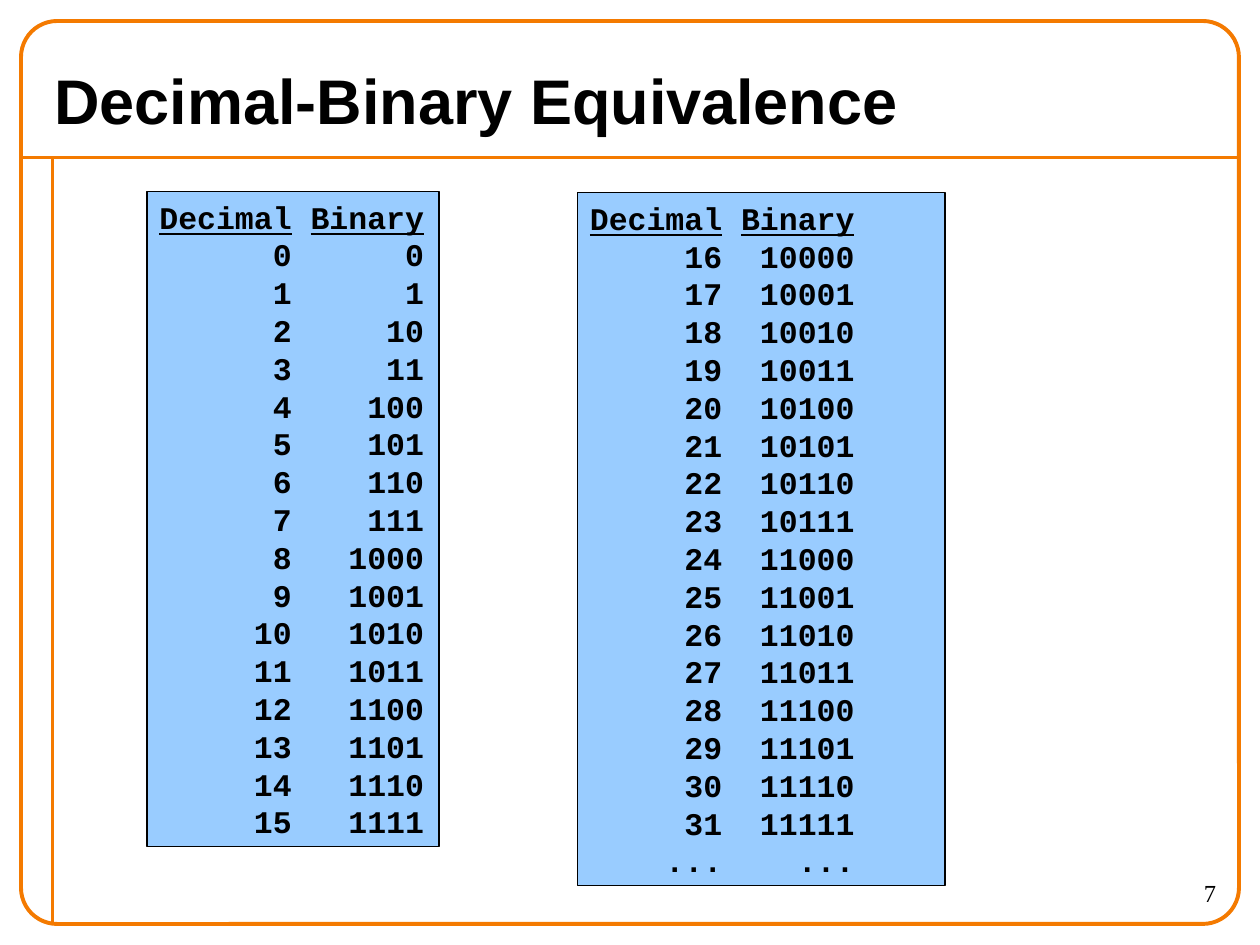
from pptx import Presentation
from pptx.dml.color import RGBColor
from pptx.enum import shapes, text
from pptx.oxml import ns, xmlchemy
from pptx.util import Pt

TITLE = "Decimal-Binary Equivalence"
PAGE_NUMBER = "7"
HEADINGS = ("Decimal", "Binary")
ELLIPSIS = ("...", "...")
# (left, top, width, height), numbers listed, closing rows
PANELS = [
    ((84, 109.4, 167, 374.4), range(0, 16), []),
    ((330, 110, 210, 396), range(16, 32), [ELLIPSIS]),
]

ORANGE, BLACK, SKY = "F47A00", "000000", "99CCFF"
FRAME = (12, 12, 696, 516)
RULES = [((12, 90), (708, 90)), ((30, 90), (30, 528))]

TITLE_FONT = {"name": "Arial", "size": Pt(36), "bold": True}
NUMBER_FONT = {"name": "Times New Roman", "size": Pt(14)}
CODE_FONT = {"name": "Courier New", "size": Pt(18), "bold": True}
CHAR_WIDTH = 10.8
COLUMN_ENDS = (7 * CHAR_WIDTH, 14 * CHAR_WIDTH)


def color(hex_value):
    return RGBColor.from_string(hex_value)


def set_line(line, hex_value, width):
    line.color.rgb = color(hex_value)
    line.width = Pt(width)


def add_run(paragraph, words, font_format, underline=False):
    run = paragraph.add_run()
    run.text = words
    for name, value in {**font_format, "underline": underline}.items():
        setattr(run.font, name, value)
    run.font.color.rgb = color(BLACK)


def add_right_tabs(paragraph):
    tabs = xmlchemy.OxmlElement("a:tabLst")
    for end in COLUMN_ENDS:
        tab = xmlchemy.OxmlElement("a:tab")
        tab.set("pos", str(Pt(end)))
        tab.set("algn", "r")
        tabs.append(tab)
    paragraph._p.get_or_add_pPr().append(tabs)


def add_box(slide, box, kind, fill=None, line_width=1, line_color=BLACK):
    shape = slide.shapes.add_shape(kind, *map(Pt, box))
    shape.shadow.inherit = False
    set_line(shape.line, line_color, line_width)
    if fill:
        shape.fill.solid()
        shape.fill.fore_color.rgb = color(fill)
    else:
        shape.fill.background()
    return shape


def add_label(slide, box, words, font_format, align, anchor):
    frame = slide.shapes.add_textbox(*map(Pt, box)).text_frame
    frame.word_wrap = True
    frame.vertical_anchor = anchor
    frame.paragraphs[0].alignment = align
    add_run(frame.paragraphs[0], words, font_format)


def add_panel(slide, box, numbers, closing_rows):
    frame = add_box(slide, box, shapes.MSO_SHAPE.RECTANGLE, SKY).text_frame
    frame.word_wrap = True
    frame.auto_size = text.MSO_AUTO_SIZE.SHAPE_TO_FIT_TEXT
    frame.vertical_anchor = text.MSO_ANCHOR.MIDDLE
    rows = [(str(n), f"{n:b}") for n in numbers] + closing_rows

    header = frame.paragraphs[0]
    decimal, binary = HEADINGS
    add_run(header, decimal, CODE_FONT, True)
    add_run(header, " ", CODE_FONT)
    add_run(header, binary, CODE_FONT, True)
    for decimal, binary in rows:
        paragraph = frame.add_paragraph()
        add_right_tabs(paragraph)
        add_run(paragraph, f"\t{decimal}\t{binary}", CODE_FONT)
    for paragraph in frame.paragraphs:
        paragraph.alignment = text.PP_ALIGN.LEFT
        paragraph.line_spacing = Pt(21.6)


def main():
    deck = Presentation()
    deck.slide_width, deck.slide_height = Pt(720), Pt(540)
    slide = deck.slides.add_slide(deck.slide_layouts[6])

    for start, end in RULES:
        rule = slide.shapes.add_connector(
            shapes.MSO_CONNECTOR.STRAIGHT, *map(Pt, start + end))
        set_line(rule.line, ORANGE, 2.25)
        properties = rule._element.find(ns.qn("p:spPr"))
        properties.append(xmlchemy.OxmlElement("a:effectLst"))
    border = add_box(slide, FRAME, shapes.MSO_SHAPE.ROUNDED_RECTANGLE,
                     line_width=2.25, line_color=ORANGE)
    border.adjustments[0] = 0.04

    add_label(slide, (24, 30, 672, 54), TITLE, TITLE_FONT,
              text.PP_ALIGN.LEFT, text.MSO_ANCHOR.MIDDLE)
    add_label(slide, (630, 498, 72, 30), PAGE_NUMBER, NUMBER_FONT,
              text.PP_ALIGN.RIGHT, text.MSO_ANCHOR.TOP)
    for panel in PANELS:
        add_panel(slide, *panel)

    deck.save("out.pptx")


if __name__ == "__main__":
    main()
